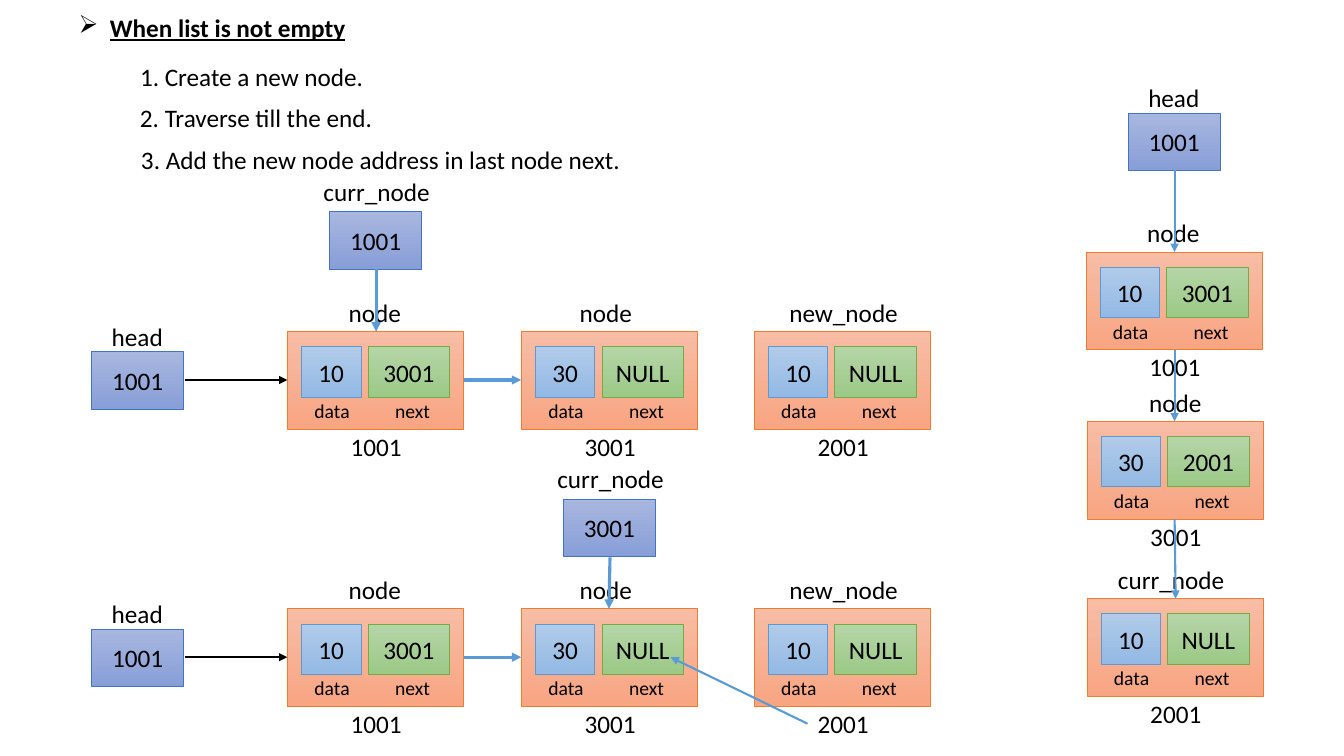
from dataclasses import dataclass
from typing import Any

from lxml.etree import SubElement
from pptx import Presentation
from pptx.dml.color import RGBColor
from pptx.enum.shapes import MSO_CONNECTOR, MSO_SHAPE
from pptx.enum.text import MSO_ANCHOR, MSO_AUTO_SIZE, PP_ALIGN
from pptx.oxml.ns import qn
from pptx.util import Pt

PX = 9144  # EMU, 100 px to the inch
BLACK = RGBColor(0x00, 0x00, 0x00)
BLUE = RGBColor(0x5B, 0x9B, 0xD5)


@dataclass(frozen=True)
class Paint:
    top: RGBColor
    low: RGBColor
    edge: RGBColor


ORANGE = Paint(RGBColor(0xF7, 0xBD, 0xA5), RGBColor(0xF8, 0xA5, 0x82), RGBColor(0xED, 0x7D, 0x31))
SKY = Paint(RGBColor(0xB1, 0xCB, 0xE9), RGBColor(0x93, 0xB9, 0xE4), BLUE)
GREEN = Paint(RGBColor(0xB5, 0xD5, 0xA7), RGBColor(0x9C, 0xC9, 0x87), RGBColor(0x70, 0xAD, 0x47))
INDIGO = Paint(RGBColor(0xA8, 0xB7, 0xDF), RGBColor(0x88, 0x9E, 0xD7), RGBColor(0x44, 0x72, 0xC4))


@dataclass(frozen=True)
class Node:
    x: int
    y: int
    data: str
    next: str
    address: str
    name: str
    shift: int = 0  # of the name, from the middle of the node


@dataclass(frozen=True)
class Pointer:
    x: int
    y: int
    value: str
    name: str


@dataclass(frozen=True)
class Arrow:
    x1: int
    y1: int
    x2: int
    y2: int
    color: RGBColor = BLUE
    weight: float = 1.5


@dataclass(frozen=True)
class Step:
    x: int
    y: int
    width: int
    text: str


NODE_W, NODE_H = 175, 97
ROWS = (329, 604)
WIDTHS = {"node": 73, "new_node": 129, "curr_node": 127, "head": 72}
NAME_AT = {"head": (10, -35), "curr_node": (-16, -40)}

STEPS = [
    Step(129, 56, 245, "1. Create a new node."),
    Step(129, 97, 253, "2. Traverse till the end."),
    Step(130, 138, 502, "3. Add the new node address in last node next."),
]
NODES = [
    node
    for y in ROWS
    for node in (
        Node(285, y, "10", "3001", "1001", "node"),
        Node(517, y, "30", "NULL", "3001", "node", -3),
        Node(748, y, "10", "NULL", "2001", "new_node", 2),
    )
] + [
    Node(1077, 250, "10", "3001", "1001", "node"),
    Node(1078, 418, "30", "2001", "3001", "node", 1),
    Node(1078, 594, "10", "NULL", "2001", "curr_node", -3),
]
POINTERS = [Pointer(91, y + 20, "1001", "head") for y in ROWS] + [
    Pointer(327, 210, "1001", "curr_node"),
    Pointer(559, 495, "3001", "curr_node"),
    Pointer(1119, 112, "1001", "head"),
]
ARROWS = [
    arrow
    for y in ROWS
    for arrow in (
        Arrow(183, y + 48, 285, y + 48, BLACK),
        Arrow(460, y + 48, 517, y + 48, BLUE, 2.25),
    )
] + [
    Arrow(373, 267, 373, 329, BLUE, 2.25),
    Arrow(605, 553, 604, 604, BLUE, 2.25),
    Arrow(801, 718, 665, 652),
    Arrow(1165, 169, 1165, 250),
    Arrow(1165, 347, 1165, 418),
    Arrow(1165, 515, 1166, 594),
]

LABEL = {
    "word_wrap": False,
    "auto_size": MSO_AUTO_SIZE.SHAPE_TO_FIT_TEXT,
    "vertical_anchor": MSO_ANCHOR.TOP,
}
CELL = {"word_wrap": True, "vertical_anchor": MSO_ANCHOR.MIDDLE}


def apply(target: Any, values: dict[str, Any]) -> None:
    for key, value in values.items():
        setattr(target, key, value)


def scale(*sizes: int) -> list[int]:
    return [size * PX for size in sizes]


def write(shape: Any, text: str, frame: dict[str, Any], align: PP_ALIGN,
          size: int = 18, **extra: Any) -> None:
    apply(shape.text_frame, frame)
    line = shape.text_frame.paragraphs[0]
    line.alignment = align
    run = line.add_run()
    run.text = text
    apply(run.font, {"name": "Calibri", "size": Pt(size), **extra})
    run.font.color.rgb = BLACK


def add_title(slide: Any, text: str) -> None:
    title = slide.shapes.title
    apply(title, dict(zip(("left", "top", "width", "height"), scale(68, 7, 287, 40))))
    write(title, text, LABEL, PP_ALIGN.LEFT, bold=True, underline=True)
    props = title.text_frame.paragraphs[0]._p.get_or_add_pPr()
    indent = 31 * PX
    props.set("marL", str(indent))
    props.set("indent", str(-indent))
    SubElement(props, qn("a:buChar")).set("char", "➢")


def add_label(slide: Any, x: int, y: int, width: int, text: str, size: int = 18) -> None:
    height = 40 if size == 18 else 34
    box = slide.shapes.add_textbox(*scale(x, y, width, height))
    write(box, text, LABEL, PP_ALIGN.LEFT, size)


def add_box(slide: Any, x: int, y: int, width: int, height: int,
            paint: Paint, text: str = "") -> None:
    box = slide.shapes.add_shape(MSO_SHAPE.RECTANGLE, *scale(x, y, width, height))
    box.shadow.inherit = False
    box.fill.gradient()
    box.fill.gradient_angle = 270
    for stop, color in zip(box.fill.gradient_stops, (paint.top, paint.low)):
        stop.color.rgb = color
    box.line.color.rgb = paint.edge
    box.line.width = Pt(0.5)
    if text:
        write(box, text, CELL, PP_ALIGN.CENTER)


def add_node(slide: Any, node: Node) -> None:
    x, y = node.x, node.y
    add_box(slide, x, y, NODE_W, NODE_H, ORANGE)
    add_box(slide, x + 14, y + 15, 59, 50, SKY, node.data)
    add_box(slide, x + 80, y + 15, 81, 50, GREEN, node.next)
    add_label(slide, x + 17, y + 62, 56, "data", 14)
    add_label(slide, x + 97, y + 62, 55, "next", 14)
    add_label(slide, x + 53, y + 94, 71, node.address)
    width = WIDTHS[node.name]
    add_label(slide, x + (NODE_W - width) // 2 + node.shift, y - 39, width, node.name)


def add_pointer(slide: Any, item: Pointer) -> None:
    add_box(slide, item.x, item.y, 91, 57, INDIGO, item.value)
    dx, dy = NAME_AT[item.name]
    add_label(slide, item.x + dx, item.y + dy, WIDTHS[item.name], item.name)


def add_arrow(slide: Any, item: Arrow) -> None:
    ends = scale(item.x1, item.y1, item.x2, item.y2)
    link = slide.shapes.add_connector(MSO_CONNECTOR.STRAIGHT, *ends)
    link.line.color.rgb = item.color
    link.line.width = Pt(item.weight)
    props = link._element.spPr
    SubElement(props.find(qn("a:ln")), qn("a:tailEnd")).set("type", "triangle")
    SubElement(props, qn("a:effectLst"))


def main() -> None:
    deck = Presentation()
    deck.slide_width, deck.slide_height = scale(1333, 750)
    slide = deck.slides.add_slide(deck.slide_layouts.get_by_name("Title Only"))
    add_title(slide, "When list is not empty")
    for step in STEPS:
        add_label(slide, step.x, step.y, step.width, step.text)
    for node in NODES:
        add_node(slide, node)
    for item in POINTERS:
        add_pointer(slide, item)
    for arrow in ARROWS:
        add_arrow(slide, arrow)
    deck.save("out.pptx")


if __name__ == "__main__":
    main()
